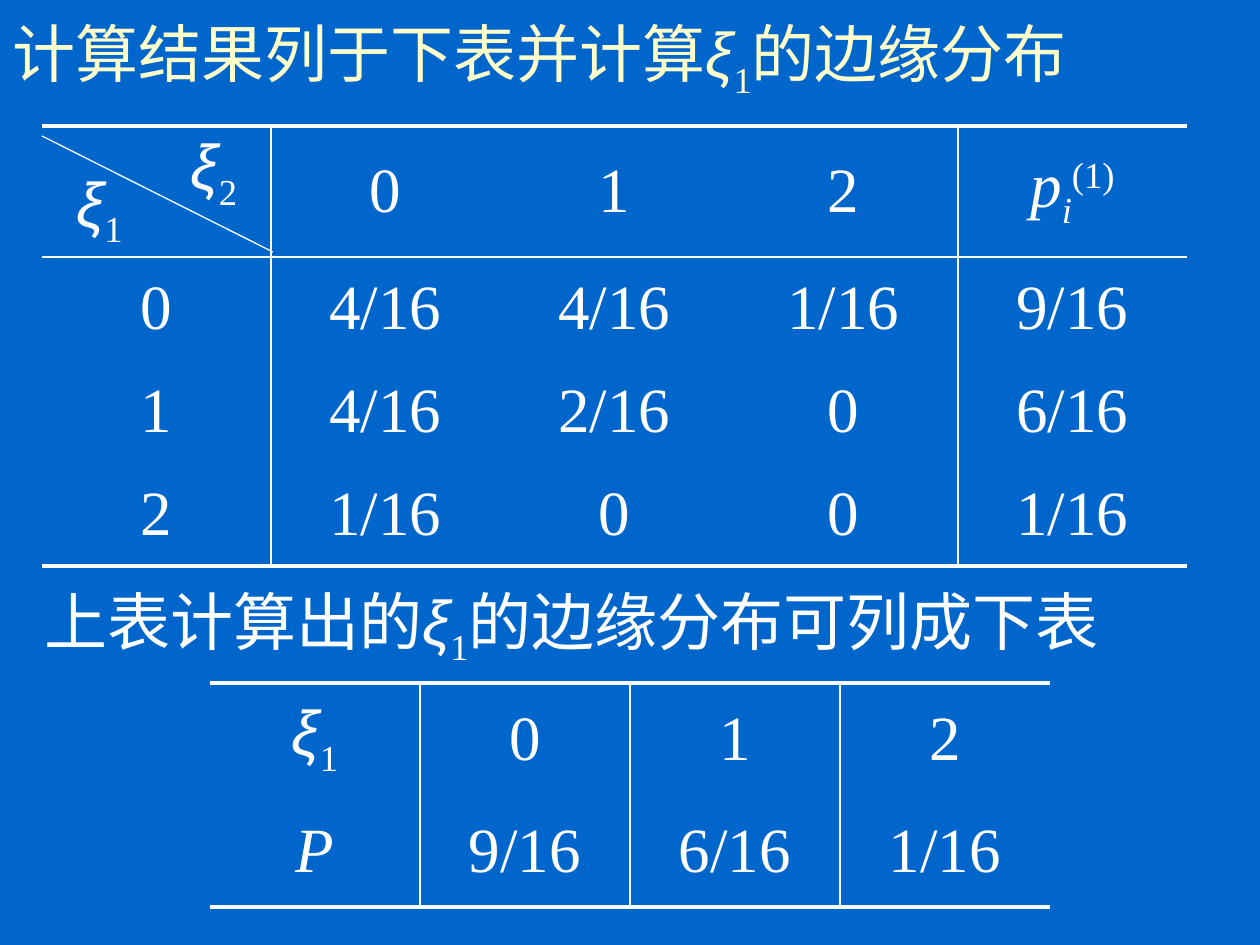
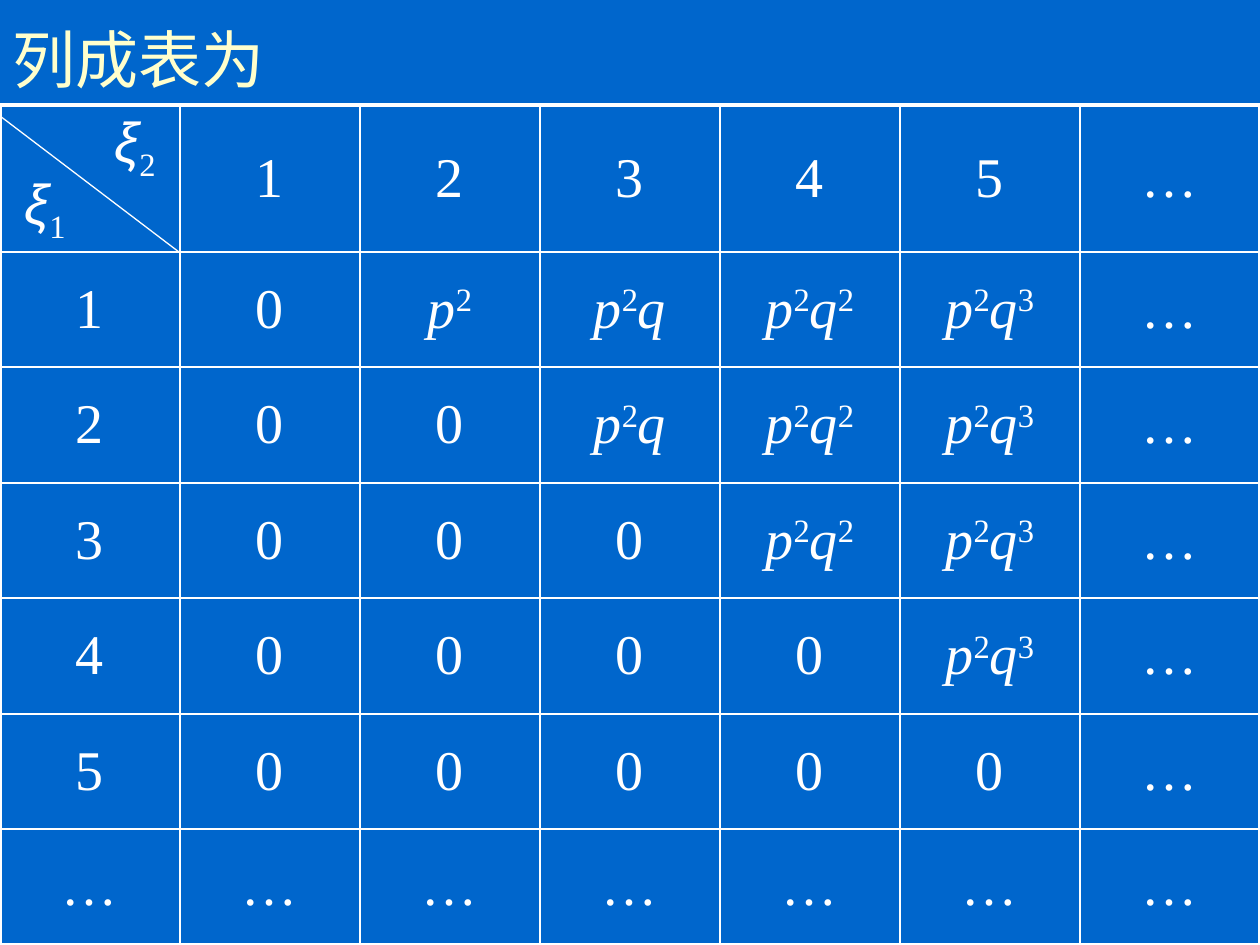
import lxml.etree
import pptx
import pptx.dml.color
import pptx.enum.shapes
import pptx.enum.text
import pptx.oxml.ns
import pptx.util

EMU_PER_PX = 914400 / 126
COLORS = {"blue": "0066CC", "cream": "FFFFCC", "white": "FFFFFF"}
ANCHORS = pptx.enum.text.MSO_ANCHOR
ALIGNS = pptx.enum.text.PP_ALIGN
THICK, THIN, HAIR = 2.25, 1, 0.75

STYLES = {
    "plain": ({"name": "Times New Roman", "italic": False}, 0),
    "greek": ({"name": "Arial", "italic": True}, 0),
    "variable": ({"name": "Times New Roman", "italic": True}, 0),
    "sub": ({"name": "Times New Roman", "italic": False}, -25),
    "sub_variable": ({"name": "Times New Roman", "italic": True}, -25),
    "super": ({"name": "Times New Roman", "italic": False}, 30),
}
XI_1 = [("ξ", "greek"), ("1", "sub")]
XI_2 = [("ξ", "greek"), ("2", "sub")]
MARGINAL = [("p", "variable"), ("i", "sub_variable"), ("(1)", "super")]


def px(length):
    return round(length * EMU_PER_PX)


def rgb(name):
    return pptx.dml.color.RGBColor.from_string(COLORS[name])


def write(frame, content, size, color="white", align=ALIGNS.LEFT):
    para = frame.paragraphs[0]
    para.alignment = align
    spans = [(content, "plain")] if isinstance(content, str) else content
    for text, style in spans:
        span = para.add_run()
        span.text = text
        values, baseline = STYLES[style]
        for name, value in {**values, "size": pptx.util.Pt(size)}.items():
            setattr(span.font, name, value)
        span.font.color.rgb = rgb(color)
        if baseline:
            span.font._element.set("baseline", str(baseline * 1000))


def add_page(deck, title):
    page = deck.slides.add_slide(deck.slide_layouts[5])
    box = page.shapes.title
    places = {"left": 0, "top": 0, "width": px(1229), "height": px(116)}
    for name, value in places.items():
        setattr(box, name, value)
    box.text_frame.vertical_anchor = ANCHORS.MIDDLE
    box.text_frame.auto_size = pptx.enum.text.MSO_AUTO_SIZE.NONE
    write(box.text_frame, title, 36, "cream")
    return page


def add_paragraph_box(page, box, content):
    frame = page.shapes.add_textbox(*map(px, box)).text_frame
    frame.word_wrap = True
    write(frame, content, 36)


def set_border(cell, side, width):
    properties = cell._tc.get_or_add_tcPr()
    border = lxml.etree.SubElement(properties, pptx.oxml.ns.qn(f"a:ln{side}"))
    if not width:
        lxml.etree.SubElement(border, pptx.oxml.ns.qn("a:noFill"))
        return
    border.set("w", str(pptx.util.Pt(width)))
    fill = lxml.etree.SubElement(border, pptx.oxml.ns.qn("a:solidFill"))
    lxml.etree.SubElement(fill, pptx.oxml.ns.qn("a:srgbClr"), val=COLORS["white"])


def add_grid(page, corner, widths, heights, rows, size, across, down):
    table = page.shapes.add_table(
        len(heights), len(widths), *map(px, (*corner, sum(widths), sum(heights)))
    ).table
    table.first_row = table.horz_banding = False
    for column, width in zip(table.columns, widths):
        column.width = px(width)
    for line, height in zip(table.rows, heights):
        line.height = px(height)
    for i, row in enumerate(rows):
        for j, content in enumerate(row):
            cell = table.cell(i, j)
            merged = j + 1 < len(row) and row[j + 1] is None
            if merged:
                cell.merge(table.cell(i, j + 1))
            edges = {
                "L": down.get(j),
                "R": down.get(j + 1 + merged),
                "T": across.get(i),
                "B": across.get(i + 1),
            }
            for side, width in edges.items():
                set_border(cell, side, width)
            cell.fill.background()
            cell.vertical_anchor = ANCHORS.MIDDLE
            if content is not None:
                write(cell.text_frame, content, size, align=ALIGNS.CENTER)
    return table


def add_joint_table(page, corner, widths, heights, header, body, size,
                    across, down, diagonal):
    rows = [[XI_1, XI_2, *header]]
    rows += [[label, None, *values] for label, *values in body]
    table = add_grid(page, corner, widths, heights, rows, size, across, down)
    table.cell(0, 0).vertical_anchor = ANCHORS.BOTTOM
    table.cell(0, 1).vertical_anchor = ANCHORS.TOP
    left, top = corner
    drop, run, rise = diagonal
    line = page.shapes.add_connector(
        pptx.enum.shapes.MSO_CONNECTOR.STRAIGHT,
        *map(px, (left, top + drop, left + run, top + drop + rise)),
    )
    line.line.color.rgb = rgb("white")
    line.line.width = pptx.util.Pt(HAIR)
    lxml.etree.SubElement(line._element.spPr, pptx.oxml.ns.qn("a:effectLst"))


def joint_probability(first, second):
    if second <= first:
        return "0"
    power = second - 2
    spans = [("p", "variable"), ("2", "super")]
    if power:
        spans.append(("q", "variable"))
    if power > 1:
        spans.append((str(power), "super"))
    return spans


def build_marginal_page(deck):
    page = add_page(
        deck, [("计算结果列于下表并计算", "plain"), *XI_1, ("的边缘分布", "plain")]
    )
    add_joint_table(
        page, (42, 126), [115, 114] + [229] * 4, [131] + [103] * 3,
        ["0", "1", "2", MARGINAL],
        [
            ["0", "4/16", "4/16", "1/16", "9/16"],
            ["1", "4/16", "2/16", "0", "6/16"],
            ["2", "1/16", "0", "0", "1/16"],
        ],
        36, {0: THICK, 1: THIN, 4: THICK}, {2: THIN, 5: THIN}, (10, 231, 116),
    )
    add_paragraph_box(
        page, (32, 576, 1085, 88),
        [("上表计算出的", "plain"), *XI_1, ("的边缘分布可列成下表", "plain")],
    )
    add_grid(
        page, (210, 683), [210] * 4, [112] * 2,
        [[XI_1, "0", "1", "2"], [[("P", "variable")], "9/16", "6/16", "1/16"]],
        36, {0: THICK, 2: THICK}, dict.fromkeys(range(1, 4), THIN),
    )


def build_joint_page(deck):
    page = add_page(deck, "列成表为")
    numbers = range(1, 6)
    body = [
        [str(i), *[joint_probability(i, j) for j in numbers], "…"] for i in numbers
    ]
    body.append(["…"] * 7)
    add_joint_table(
        page, (0, 105), [90, 90] + [180] * 6, [147] + [115, 116] * 3,
        [*map(str, numbers), "…"], body, 32,
        {**dict.fromkeys(range(1, 7), THIN), 0: THICK, 7: THICK},
        {**dict.fromkeys(range(2, 8), THIN), 0: THICK, 8: THICK},
        (11, 179, 136),
    )


def main():
    deck = pptx.Presentation()
    deck.slide_width, deck.slide_height = px(1260), px(945)
    background = deck.slide_master.background.fill
    background.solid()
    background.fore_color.rgb = rgb("blue")
    build_marginal_page(deck)
    build_joint_page(deck)
    deck.save("out.pptx")


if __name__ == "__main__":
    main()
